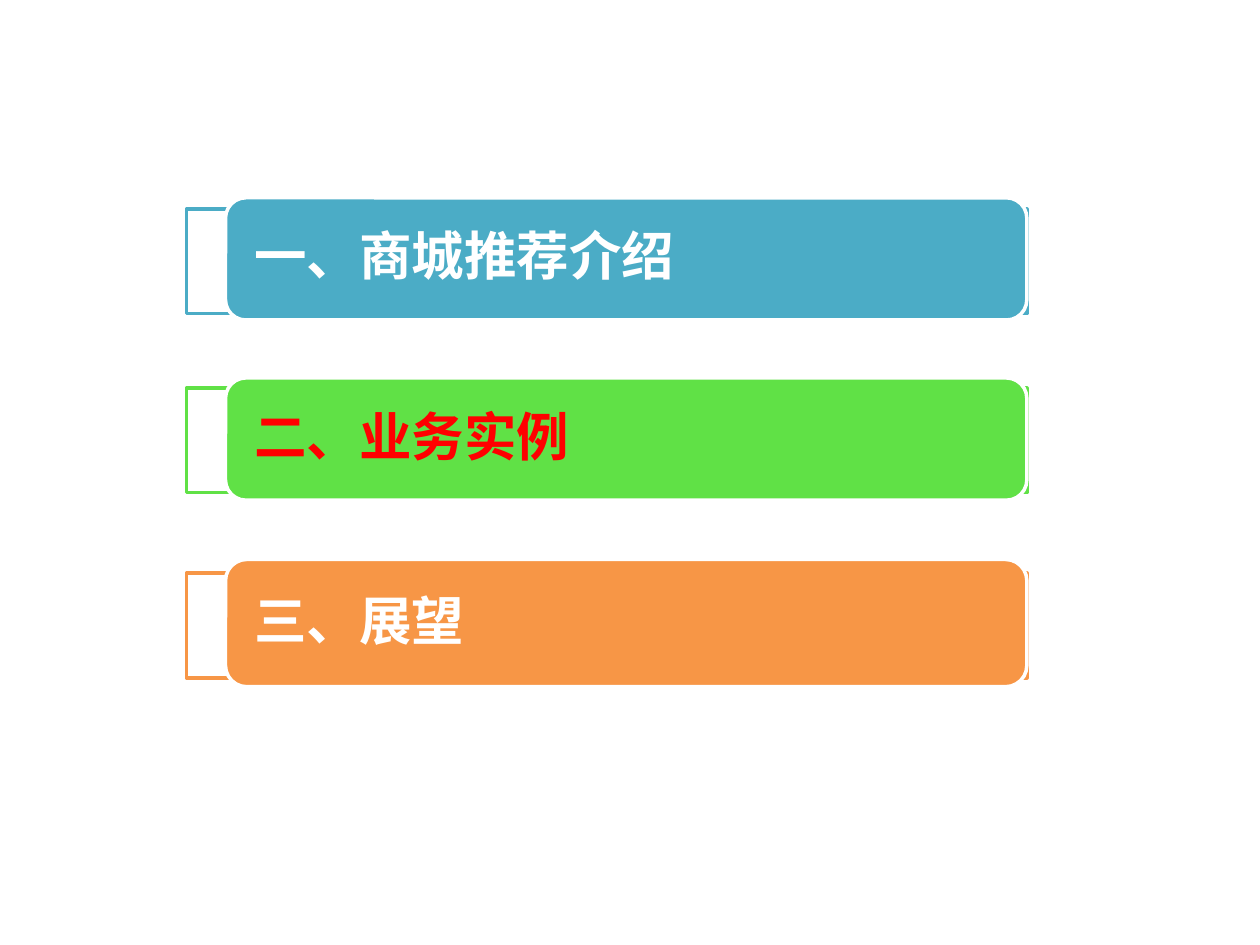
from pptx import Presentation
from pptx.dml.color import RGBColor
from pptx.enum.shapes import MSO_SHAPE
from pptx.enum.text import MSO_ANCHOR, PP_ALIGN
from pptx.util import Inches, Pt

RECT, ROUND = MSO_SHAPE.RECTANGLE, MSO_SHAPE.ROUNDED_RECTANGLE
MIDDLE, LEFT = MSO_ANCHOR.MIDDLE, PP_ALIGN.LEFT
FONT = "Noto Sans CJK SC"
WHITE, RED = "FFFFFF", "FF0000"
WIDE, HIGH = 10, 7.5
EDGE, SPAN = 0.148 * WIDE, 0.667 * WIDE

# text, text colour, bar colour, frame top, bar top, bar height
ITEMS = [
    ("一、商城推荐介绍", WHITE, "4BACC6", 1.66, 1.57, 0.97),
    ("二、业务实例", RED, "60E146", 3.08, 3.0, 0.97),
    ("三、展望", WHITE, "F79646", 4.55, 4.44, 1.01),
]


def color(code):
    return RGBColor.from_string(code)


def panel(slide, kind, box, fill, line):
    shape = slide.shapes.add_shape(kind, *map(Inches, box))
    shape.shadow.inherit = False
    shape.fill.solid()
    shape.fill.fore_color.rgb = color(fill)
    shape.line.color.rgb = color(line)
    shape.line.width = Pt(2)
    return shape


def label(shape, text, ink):
    frame = shape.text_frame
    frame.word_wrap = True
    frame.vertical_anchor = MIDDLE
    frame.margin_left = frame.margin_right = Inches(0.18)
    frame.margin_top = frame.margin_bottom = 0
    para = frame.paragraphs[0]
    para.alignment = LEFT
    para.line_spacing = 0.9
    run = para.add_run()
    run.text = text
    font = run.font
    font.name, font.size, font.bold = FONT, Pt(30), True
    font.color.rgb = color(ink)
    east = font._element.makeelement(
        "{http://schemas.openxmlformats.org/drawingml/2006/main}ea",
        {"typeface": FONT})
    font._element.find("{*}latin").addnext(east)


def entry(slide, left, width, item):
    """Draw one agenda line: a thin frame behind a labelled bar."""
    text, ink, fill, top, bar_top, bar_high = item
    inset = 0.31
    panel(slide, RECT, (left, top, width, 0.83), WHITE, fill)
    bar = panel(slide, ROUND,
                (left + inset, bar_top, width - inset, bar_high), fill, WHITE)
    label(bar, text, ink)


def main():
    deck = Presentation()
    deck.slide_width, deck.slide_height = Inches(WIDE), Inches(HIGH)
    slide = deck.slides.add_slide(deck.slide_layouts[6])
    for item in ITEMS:
        entry(slide, EDGE, SPAN, item)
    deck.save("out.pptx")


if __name__ == "__main__":
    main()
